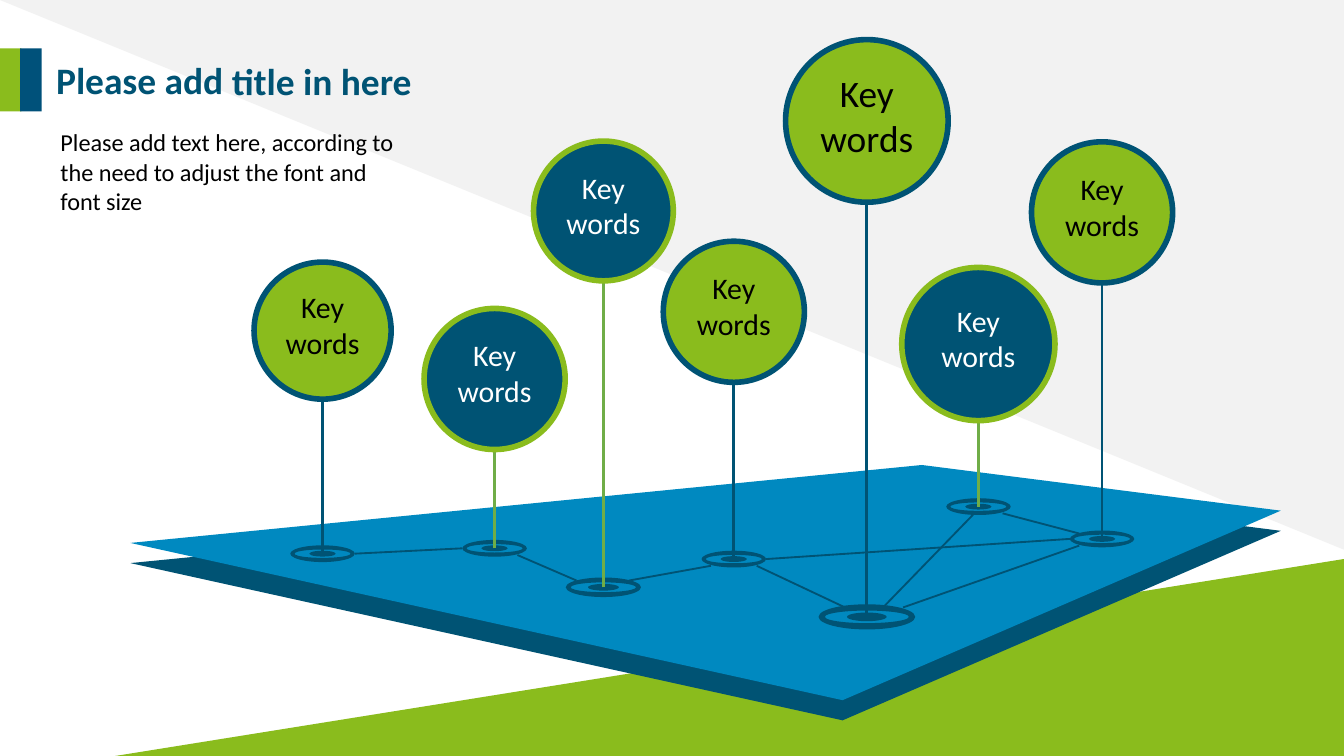
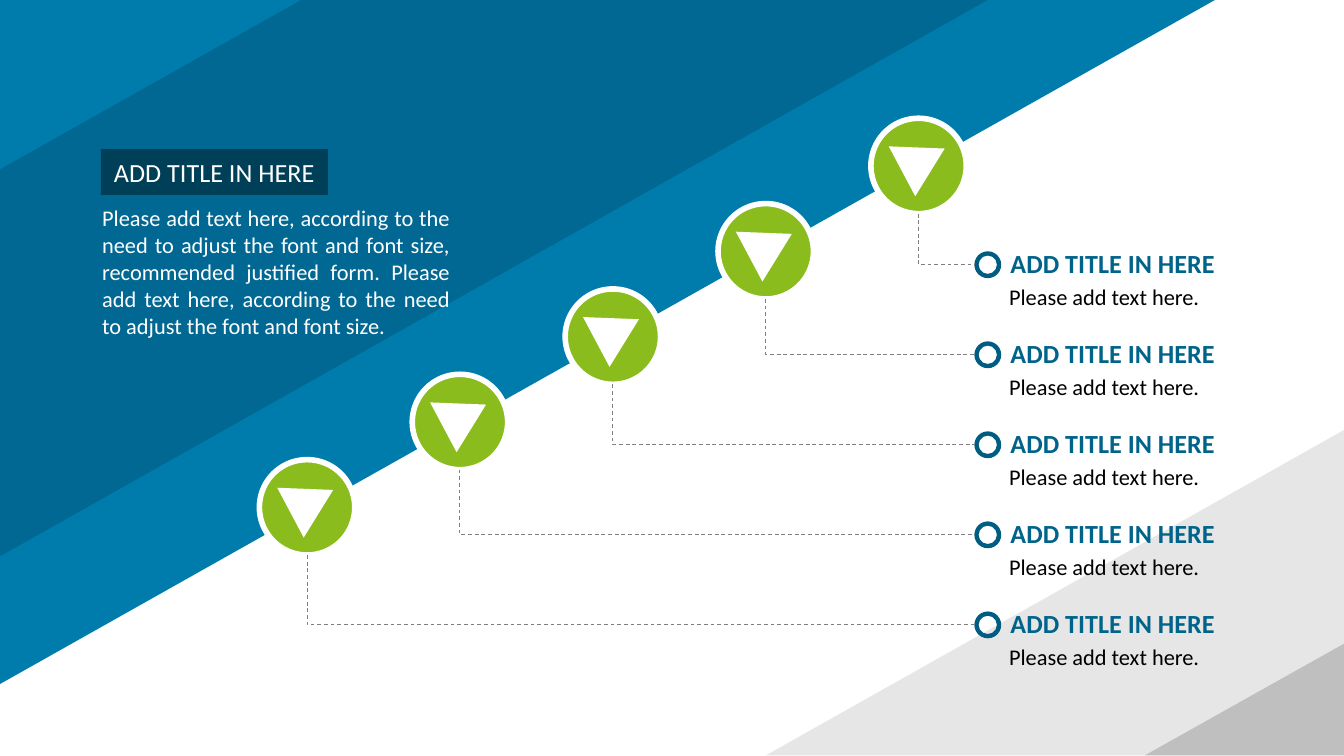
from pptx import Presentation, util as u
from pptx.dml.color import RGBColor
from pptx.enum import dml, shapes, text
from pptx.oxml.ns import qn
from lxml import etree

WIDTH = 10
HEIGHT = WIDTH * 9 / 16
FONT = "Calibri"
WHITE, BLACK = RGBColor(255, 255, 255), RGBColor(0, 0, 0)
GREEN, STEM_GREEN = RGBColor(0x8A, 0xBC, 0x1D), RGBColor(0x70, 0xAD, 0x47)
NAVY, BAND_NAVY = RGBColor(0x00, 0x53, 0x74), RGBColor(0x00, 0x51, 0x7A)
SKY, BLUE, DEEP = RGBColor(0x00, 0x89, 0xC0), RGBColor(0x00, 0x7C, 0xAC), RGBColor(0x00, 0x68, 0x92)
RING, HEADING, LABEL = RGBColor(0x00, 0x5D, 0x82), RGBColor(0x00, 0x63, 0x8A), RGBColor(0x00, 0x3F, 0x58)
PALE, LIGHT, SILVER = RGBColor(0xF2, 0xF2, 0xF2), RGBColor(0xE7, 0xE6, 0xE6), RGBColor(0xBF, 0xBF, 0xBF)
GREY = RGBColor(0x7F, 0x7F, 0x7F)
KIND = shapes.MSO_SHAPE
FIT = text.MSO_AUTO_SIZE
LEFT, CENTER, JUSTIFY = text.PP_ALIGN.LEFT, text.PP_ALIGN.CENTER, text.PP_ALIGN.JUSTIFY

# Corner triangles: left, top, width, height, flip, colour
PLATFORM_CORNERS = [(0, 0, 10, 4.09, "HV", PALE), (0.83, 4.16, 9.17, 1.47, "H", GREEN)]
STEPS_CORNERS = [
    (5.7, 3.2, 4.3, 2.42, "H", LIGHT),
    (0, 0, 9.04, 5.09, "V", BLUE),
    (0, 0, 7.35, 4.14, "V", DEEP),
    (0, 0, 2.24, 1.26, "V", BLUE),
    (8.52, 4.79, 1.48, 0.83, "H", SILVER),
]

PLATFORM_TITLE = "Please add title in here"
PLATFORM_TEXT = "Please add text here, according to the need to adjust the font and font size"
PLATFORM = [(0.97, 4.04), (6.86, 3.46), (9.53, 3.8), (6.27, 5.21)]
PLATFORM_DEPTH = 0.15
PIN_TEXT = "Key\nwords"
# Pins: centre x, base y, base width, bubble y, bubble size, text size, dark bubble
PINS = [
    (3.68, 4.08, 0.48, 2.82, 1.05, 16, True),
    (2.4, 4.12, 0.48, 2.46, 1.02, 16, False),
    (5.46, 4.16, 0.48, 2.32, 1.05, 16, False),
    (8.2, 4.01, 0.48, 1.58, 1.05, 16, False),
    (6.45, 4.59, 0.72, 0.9, 1.21, 20, False),
    (4.49, 4.37, 0.56, 1.57, 1.04, 16, True),
    (7.28, 3.77, 0.48, 2.56, 1.14, 16, True),
]
LINKS = [
    (2.64, 4.12, 3.44, 4.08), (3.85, 4.13, 4.29, 4.32),
    (4.68, 4.32, 5.29, 4.21), (5.63, 4.21, 6.33, 4.54),
    (6.72, 4.52, 8.03, 4.06), (8.03, 3.97, 7.46, 3.82),
    (5.7, 4.16, 7.96, 4.01), (6.58, 4.51, 7.24, 3.83),
]

STEPS_TITLE = "ADD TITLE IN HERE"
STEPS_TEXT = ("Please add text here, according to the need to adjust the font and font size, "
              "recommended justified form. Please add text here, according to the need to "
              "adjust the font and font size.")
STEPS = [("ADD TITLE IN HERE", "Please add text here.")] * 5
DISC, DISC_LEFT, DISC_TOP = 0.71, 6.48, 0.88
DISC_LAST_LEFT, DISC_LAST_TOP = 1.93, 3.42
DISC_STEP_X = (DISC_LAST_LEFT - DISC_LEFT) / (len(STEPS) - 1)
DISC_STEP_Y = (DISC_LAST_TOP - DISC_TOP) / (len(STEPS) - 1)
ROW_LEFT, ROW_TOP, ROW_STEP, RING_SIZE = 7.25, 1.87, 0.67, 0.2


def paint(shape, fill, line=None, weight=3):
    shape.shadow.inherit = False
    shape.fill.solid()
    shape.fill.fore_color.rgb = fill
    if line is None:
        shape.line.fill.background()
    else:
        shape.line.color.rgb = line
        shape.line.width = u.Pt(weight)
    return shape


def add_shape(slide, kind, left, top, width, height, fill, line=None):
    box = slide.shapes.add_shape(kind, *map(u.Inches, (left, top, width, height)))
    return paint(box, fill, line)


def add_centred(slide, kind, x, y, width, height, fill, line=None):
    return add_shape(slide, kind, x - width / 2, y - height / 2, width, height, fill, line)


def add_corners(slide, corners):
    for left, top, width, height, flip, colour in corners:
        corner = add_shape(slide, KIND.RIGHT_TRIANGLE, left, top, width, height, colour)
        for axis in flip:
            corner.element.spPr.find(qn("a:xfrm")).set("flip" + axis, "1")


def add_line(slide, x1, y1, x2, y2, colour, weight):
    line = slide.shapes.add_connector(shapes.MSO_CONNECTOR.STRAIGHT,
                                      *map(u.Inches, (x1, y1, x2, y2)))
    line.line.color.rgb = colour
    line.line.width = u.Pt(weight)
    etree.SubElement(line.element.spPr, qn("a:effectLst"))
    return line


def add_elbow(slide, x1, y1, x2, y2):
    """Dashed line that drops from the first point, then runs right to the second."""
    drop, run = y2 - y1, x2 - x1
    left, top = (x1 + x2 - drop) / 2, (y1 + y2 - run) / 2
    elbow = add_line(slide, left, top, left + drop, top + run, GREY, 0.5)
    elbow.line.dash_style = dml.MSO_LINE.DASH
    properties = elbow.element.spPr
    properties.find(qn("a:prstGeom")).set("prst", "bentConnector2")
    frame = properties.find(qn("a:xfrm"))
    frame.set("rot", str(270 * 60000))
    frame.set("flipH", "1")


def write(box, words, size, colour, align=LEFT, bold=False, wrap=True, after=0, fit=FIT.NONE):
    frame = box.text_frame
    frame.text = words
    frame.word_wrap = wrap
    frame.auto_size = fit
    frame.vertical_anchor = text.MSO_ANCHOR.TOP
    for para in frame.paragraphs:
        para.alignment = align
        para.space_before, para.space_after = u.Pt(0), u.Pt(after)
        for span in para.runs:
            span.font.name, span.font.size = FONT, u.Pt(size)
            span.font.bold = bold
            span.font.color.rgb = colour


def add_text(slide, left, top, width, height, *words, **style):
    box = slide.shapes.add_textbox(*map(u.Inches, (left, top, width, height)))
    write(box, *words, fit=FIT.SHAPE_TO_FIT_TEXT, **style)


def place(placeholder, left, top, width, height):
    """Move a placeholder and bring it in front of the shapes drawn so far."""
    placeholder.left, placeholder.top = u.Inches(left), u.Inches(top)
    placeholder.width, placeholder.height = u.Inches(width), u.Inches(height)
    placeholder.element.getparent().append(placeholder.element)
    return placeholder


def place_title(slide, area, *words, **style):
    title = place(slide.shapes.title, *area)
    write(title, *words, align=CENTER, **style)
    title.text_frame.margin_left = title.text_frame.margin_right = 0
    return title


def place_body(slide, area, *words, **style):
    body = place(slide.placeholders[1], *area)
    write(body, *words, after=6, **style)
    for para in body.text_frame.paragraphs:
        properties = para._p.get_or_add_pPr()
        properties.set("marL", "0")
        properties.set("indent", "0")
        etree.SubElement(properties, qn("a:buNone"))


def add_platform(slide, drop, colour):
    points = [(u.Inches(x), u.Inches(y + drop)) for x, y in PLATFORM]
    outline = slide.shapes.build_freeform(*points[0])
    outline.add_line_segments(points[1:], close=True)
    paint(outline.convert_to_shape(), colour)


def add_pin(slide, x, base_y, bubble_y, bubble, size, dark):
    fill, edge, stem, ink = (NAVY, GREEN, STEM_GREEN, WHITE) if dark else (GREEN, NAVY, NAVY, BLACK)
    add_line(slide, x, base_y, x, bubble_y + bubble / 2 - 0.1, stem, 1.5)
    add_centred(slide, KIND.OVAL, x, bubble_y, bubble, bubble, fill, edge)
    width, height = (0.9, 0.77) if size == 20 else (0.75, 0.64)
    add_text(slide, x - width / 2, bubble_y - 0.04 - height / 2, width, height,
             PIN_TEXT, size, ink, align=CENTER, wrap=False)


def build_platform_slide(slide):
    add_corners(slide, PLATFORM_CORNERS)
    add_platform(slide, PLATFORM_DEPTH, NAVY)
    add_platform(slide, 0, SKY)
    for x, y, width, *_ in PINS:
        add_centred(slide, KIND.DONUT, x, y, width, 0.26 * width, NAVY)
        add_centred(slide, KIND.OVAL, x, y, 0.41 * width, 0.09 * width, NAVY)
    for link in LINKS:
        add_line(slide, *link, NAVY, 1)
    for left, colour in ((0, GREEN), (0.15, BAND_NAVY)):
        add_shape(slide, KIND.RECTANGLE, left, 0.36, 0.16, 0.47, colour)
    title = place_title(slide, (0.32, 0.38, 2.84, 0.44), PLATFORM_TITLE, 20, NAVY, bold=True)
    title.rotation = 0.3
    place_body(slide, (0.35, 0.9, 2.8, 0.75), PLATFORM_TEXT, 13, BLACK)
    for x, base_y, _, *bubble in PINS:
        add_pin(slide, x, base_y, *bubble)


def build_steps_slide(slide):
    add_corners(slide, STEPS_CORNERS)
    for row, (heading, detail) in enumerate(STEPS):
        left, top = DISC_LEFT + row * DISC_STEP_X, DISC_TOP + row * DISC_STEP_Y
        add_shape(slide, KIND.OVAL, left, top, DISC, DISC, GREEN, WHITE)
        arrow = add_shape(slide, KIND.ISOSCELES_TRIANGLE, left + 0.18, top + 0.13,
                          0.42, 0.36, WHITE)
        arrow.rotation = 62
        row_top = ROW_TOP + row * ROW_STEP
        ring = add_shape(slide, KIND.DONUT, ROW_LEFT, row_top, RING_SIZE, RING_SIZE, RING)
        ring.adjustments[0] = 0.16
        add_text(slide, ROW_LEFT + 0.17, row_top - 0.08, 1.72, 0.34,
                 heading, 14, HEADING, bold=True, wrap=False)
        add_text(slide, ROW_LEFT + 0.16, row_top + 0.19, 1.8, 0.3, detail, 12, BLACK, after=6)
        add_elbow(slide, left + DISC / 2, top + DISC, ROW_LEFT, row_top + RING_SIZE / 2)
    title = place_title(slide, (0.75, 1.11, 1.69, 0.34), STEPS_TITLE, 14, WHITE)
    paint(title, LABEL)
    place_body(slide, (0.66, 1.47, 2.79, 1.1), STEPS_TEXT, 12, WHITE, align=JUSTIFY)


def main():
    deck = Presentation()
    deck.slide_width, deck.slide_height = u.Inches(WIDTH), u.Inches(HEIGHT)
    for build in (build_platform_slide, build_steps_slide):
        build(deck.slides.add_slide(deck.slide_layouts[1]))
    deck.save("out.pptx")


if __name__ == "__main__":
    main()
